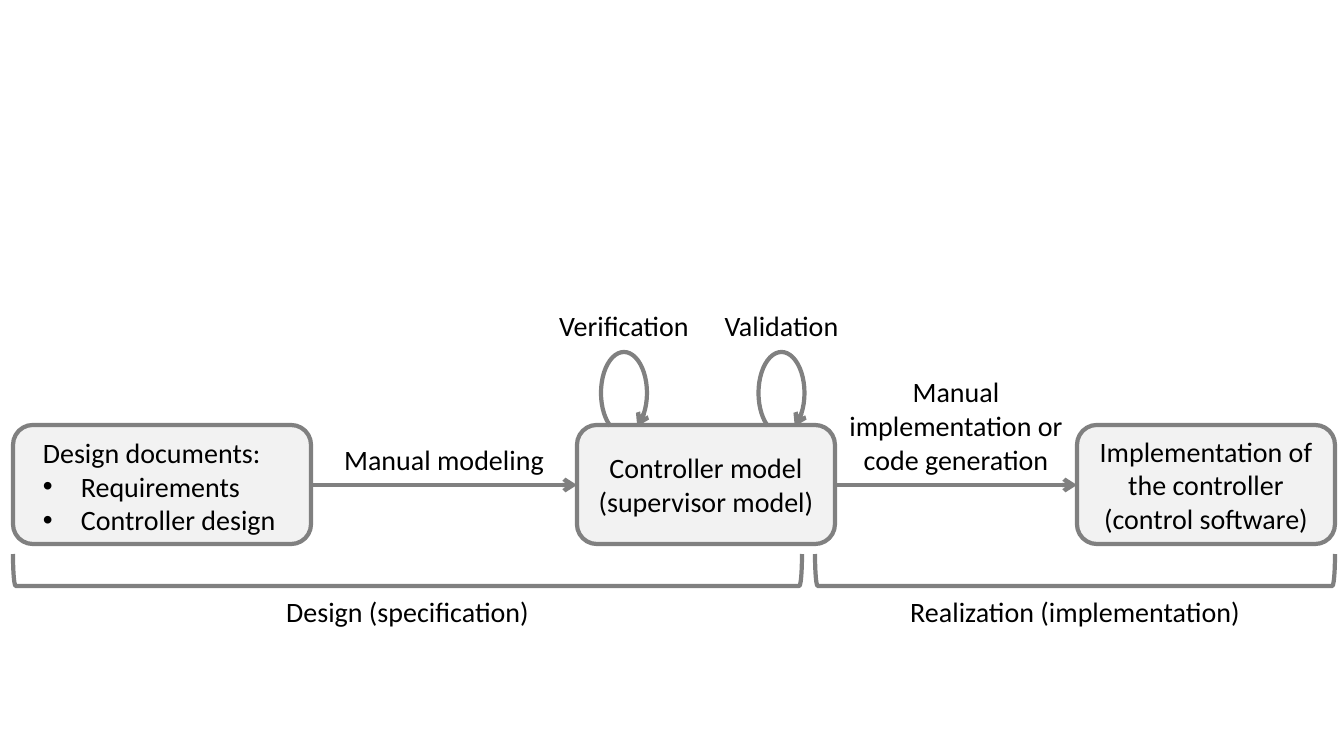
"""Build a slide showing the controller workflow from design to realization."""
from lxml import etree
from pptx import Presentation, util as u
from pptx.dml.color import RGBColor
from pptx.enum import shapes, text
from pptx.oxml import ns

PIXEL = 914400 / 100.8
GRAY = RGBColor(0x80, 0x80, 0x80)
PALE = RGBColor(0xF2, 0xF2, 0xF2)
BLACK = RGBColor(0, 0, 0)
STAGE_TOP, STAGE_HEIGHT = 425, 119
PHASE_TOP, BRACKET_HEIGHT = 554, 32
LABEL_HEIGHT = 44


def px(*lengths):
    """Turn pixel lengths into EMU."""
    return [u.Emu(round(length * PIXEL)) for length in lengths]


def style_line(part, arrow=False):
    """Give a part the thick gray line, with an arrowhead if wanted."""
    part.line.color.rgb = GRAY
    part.line.width = u.Pt(3)
    if arrow:
        line = part.line._get_or_add_ln()
        etree.SubElement(line, ns.qn("a:tailEnd"), type="arrow")


def write(frame, lines, align):
    """Fill a text frame with one paragraph for each line."""
    frame.text = "\n".join(lines)
    for paragraph in frame.paragraphs:
        paragraph.alignment = align
        paragraph.font.name = "Calibri"
        paragraph.font.size = u.Pt(20)
        paragraph.font.color.rgb = BLACK


def add_bullet(paragraph):
    """Put a hanging bullet before a paragraph."""
    indent = px(38)[0]
    properties = paragraph._p.get_or_add_pPr()
    properties.set("marL", str(indent))
    properties.set("indent", str(-indent))
    font = etree.Element(ns.qn("a:buFont"), typeface="Arial")
    bullet = etree.Element(ns.qn("a:buChar"), char="•")
    properties.insert_element_before(font, "a:defRPr")
    properties.insert_element_before(bullet, "a:defRPr")


def add_outline(slide, preset, box):
    """Add an unfilled, gray-lined preset shape."""
    outline = slide.shapes.add_shape(preset, *px(*box))
    outline.shadow.inherit = False
    outline.fill.background()
    style_line(outline)
    return outline


def add_label(slide, caption, box, wrap=True):
    """Add a centred caption."""
    frame = slide.shapes.add_textbox(*px(*box)).text_frame
    frame.word_wrap = wrap
    frame.auto_size = text.MSO_AUTO_SIZE.SHAPE_TO_FIT_TEXT
    write(frame, [caption], text.PP_ALIGN.CENTER)


def add_stage(slide, left, width, heading, items=()):
    """Add a rounded stage box, with a bulleted list if items are given."""
    box = left, STAGE_TOP, width, STAGE_HEIGHT
    stage = add_outline(slide, shapes.MSO_SHAPE.ROUNDED_RECTANGLE, box)
    stage.fill.solid()
    stage.fill.fore_color.rgb = PALE
    frame = stage.text_frame
    frame.word_wrap = True
    frame.margin_left, frame.margin_right = px(24 if items else 0, 0)
    frame.vertical_anchor = text.MSO_ANCHOR.TOP if items else text.MSO_ANCHOR.MIDDLE
    align = text.PP_ALIGN.LEFT if items else text.PP_ALIGN.CENTER
    write(frame, [heading, *items], align)
    for paragraph in frame.paragraphs[1:]:
        add_bullet(paragraph)


def add_step(slide, start, end, caption, top, height):
    """Add an arrow between two stages, with its caption above."""
    middle = STAGE_TOP + STAGE_HEIGHT // 2 + 1
    arrow = slide.shapes.add_connector(
        shapes.MSO_CONNECTOR.STRAIGHT, *px(start, middle, end, middle))
    style_line(arrow, arrow=True)
    etree.SubElement(arrow._element.spPr, ns.qn("a:effectLst"))
    add_label(slide, caption, (start, top, end - start, height))


def add_phase(slide, left, width, caption):
    """Add an upward bracket with its caption below."""
    turned = (left + (width - BRACKET_HEIGHT) / 2,
              PHASE_TOP + (BRACKET_HEIGHT - width) / 2, BRACKET_HEIGHT, width)
    bracket = add_outline(slide, shapes.MSO_SHAPE.LEFT_BRACKET, turned)
    bracket.rotation = 270
    caption_top = PHASE_TOP + BRACKET_HEIGHT + 4
    add_label(slide, caption, (left, caption_top, width, LABEL_HEIGHT))


def add_check(slide, left, width, caption):
    """Add a captioned loop that returns to the controller model."""
    top, loop_width, loop_height = 304, 46, 82
    add_label(slide, caption, (left, top, width, LABEL_HEIGHT), wrap=False)
    loop_box = (left + (width - loop_width) / 2, top + 48, loop_width, loop_height)
    loop = add_outline(slide, shapes.MSO_SHAPE.ARC, loop_box)
    loop.adjustments[0], loop.adjustments[1] = 67.5, 41.03
    style_line(loop, arrow=True)


def build_workflow(slide):
    """Place stages, steps, phases and checks."""
    add_stage(slide, 1077, 258, "Implementation of the controller (control software)")
    add_stage(slide, 577, 258, "Controller model (supervisor model)")
    add_stage(slide, 13, 298, "Design documents:", ["Requirements", "Controller design"])
    add_step(slide, 311, 577, "Manual modeling", 438, LABEL_HEIGHT)
    add_step(slide, 835, 1077, "Manual implementation or code generation", 370, 112)
    add_phase(slide, 13, 789, "Design (specification)")
    add_phase(slide, 815, 520, "Realization (implementation)")
    add_check(slide, 548, 152, "Verification")
    add_check(slide, 714, 135, "Validation")


presentation = Presentation()
presentation.slide_width, presentation.slide_height = px(1344, 756)
build_workflow(presentation.slides.add_slide(presentation.slide_layouts[6]))
presentation.save("out.pptx")
